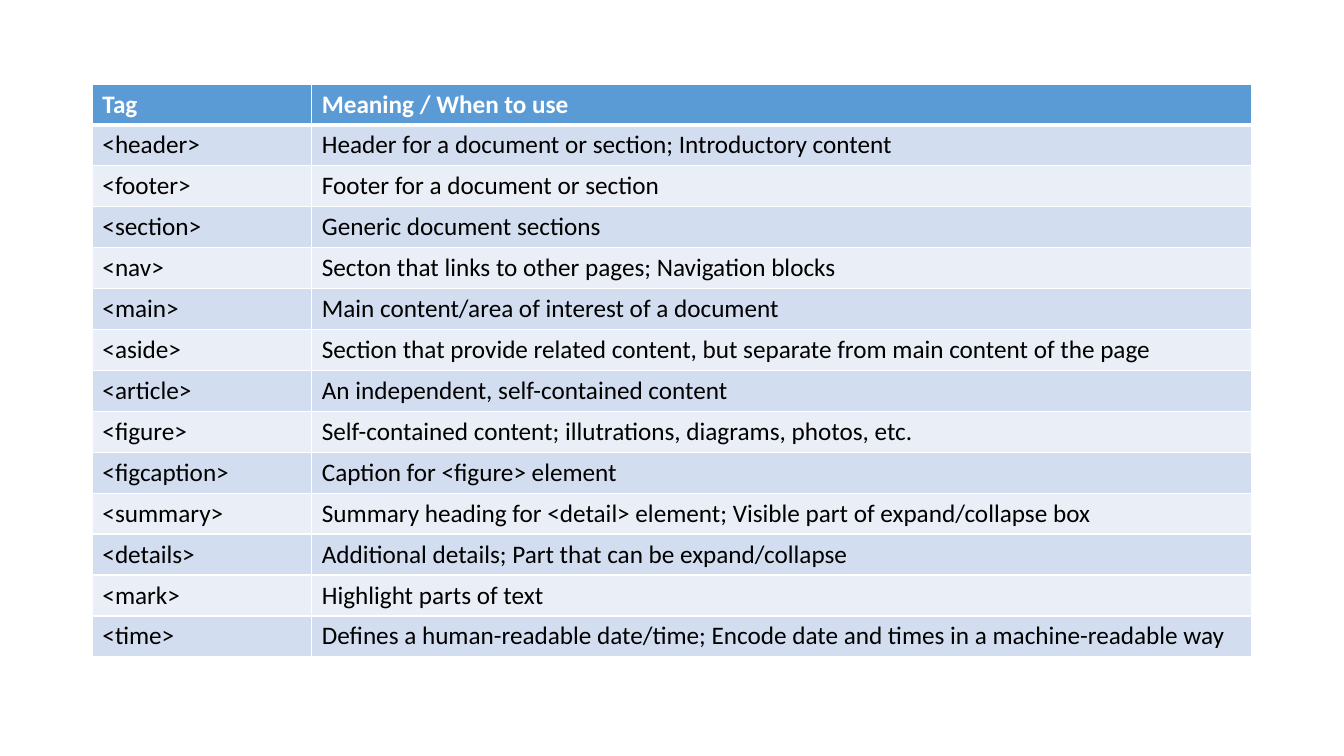
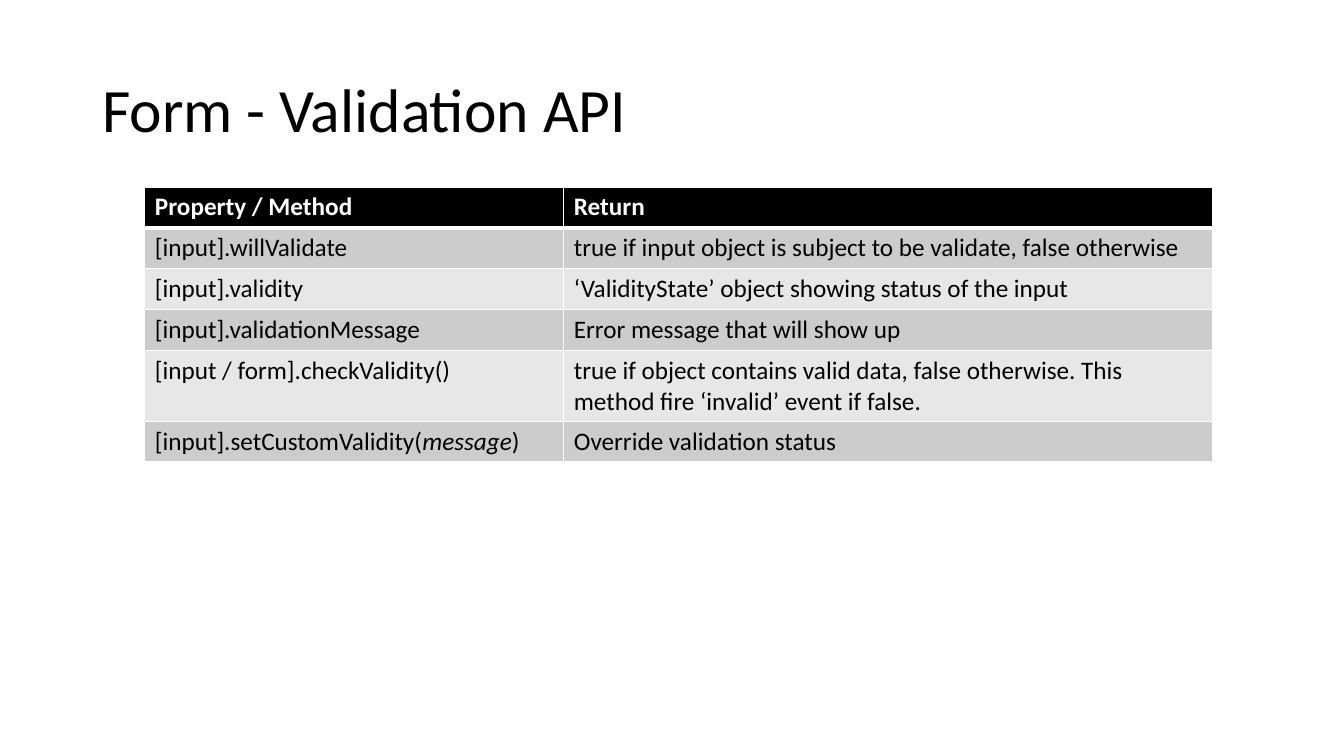
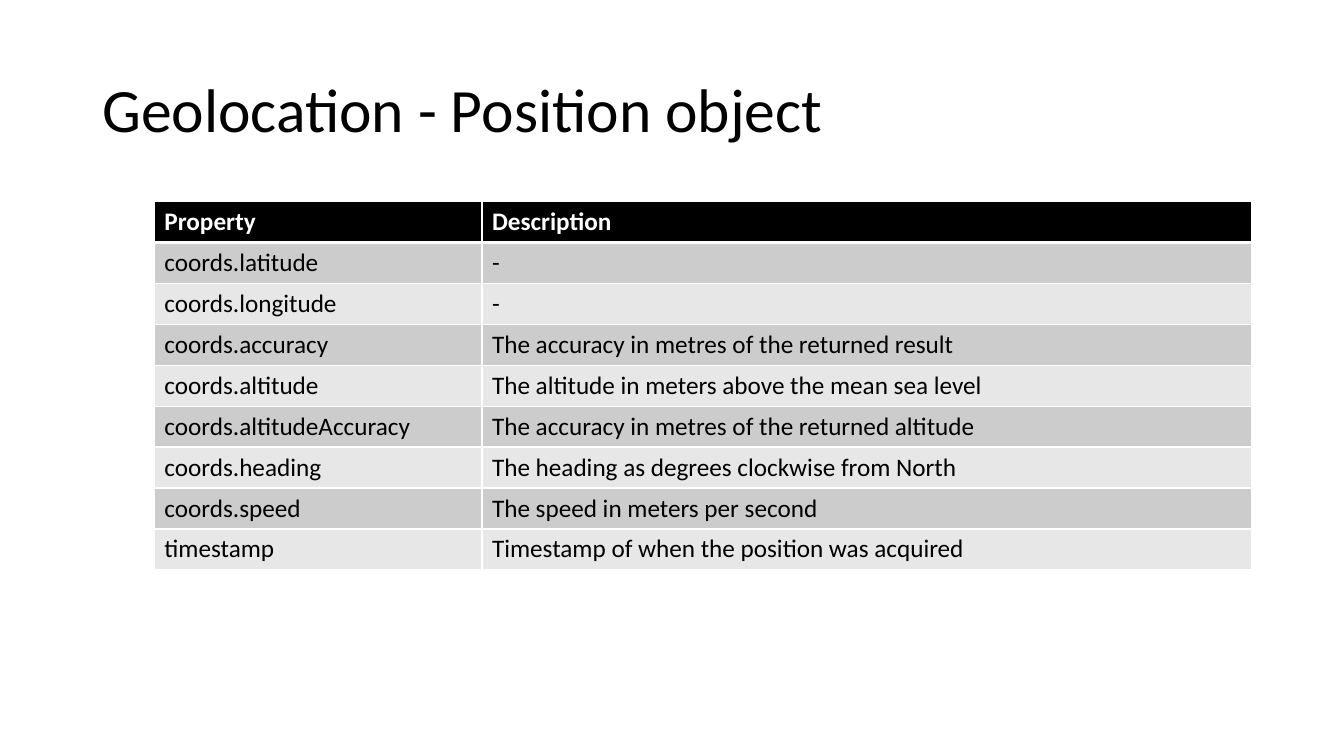
import pptx
import pptx.dml.color
import pptx.enum.text
import pptx.oxml
import pptx.oxml.ns
import pptx.util

RGBColor = pptx.dml.color.RGBColor
PX = 9525  # EMU in one px, 96 px to the inch

# Shared look
FONT = "Calibri"
BLACK = RGBColor(0x00, 0x00, 0x00)
WHITE = RGBColor(0xFF, 0xFF, 0xFF)
BLUE = RGBColor(0x5B, 0x9B, 0xD5)
BLUE_MID = RGBColor(0xD2, 0xDE, 0xEF)
BLUE_PALE = RGBColor(0xEA, 0xEF, 0xF7)
GREY_MID = RGBColor(0xCC, 0xCC, 0xCC)
GREY_PALE = RGBColor(0xE7, 0xE7, 0xE7)
BLUE_BANDS = (BLUE, BLUE_MID, BLUE_PALE)
GREY_BANDS = (BLACK, GREY_MID, GREY_PALE)
TITLE_BOX = (88, 38, 1104, 139)
ROW_H = 39

# Table contents, header row first; a tuple alternates plain and italic runs
TAGS = [
    ("Tag", "Meaning / When to use"),
    ("<header>", "Header for a document or section; Introductory content"),
    ("<footer>", "Footer for a document or section"),
    ("<section>", "Generic document sections"),
    ("<nav>", "Secton that links to other pages; Navigation blocks"),
    ("<main>", "Main content/area of interest of a document"),
    ("<aside>", "Section that provide related content, but separate from main content of the page"),
    ("<article>", "An independent, self-contained content"),
    ("<figure>", "Self-contained content; illutrations, diagrams, photos, etc."),
    ("<figcaption>", "Caption for <figure> element"),
    ("<summary>", "Summary heading for <detail> element; Visible part of expand/collapse box"),
    ("<details>", "Additional details; Part that can be expand/collapse"),
    ("<mark>", "Highlight parts of text"),
    ("<time>", "Defines a human-readable date/time; Encode date and times in a machine-readable way"),
]
VALIDATION = [
    ("Property / Method", "Return"),
    ("[input].willValidate", "true if input object is subject to be validate, false otherwise"),
    ("[input].validity", "‘ValidityState’ object showing status of the input"),
    ("[input].validationMessage", "Error message that will show up"),
    ("[input / form].checkValidity()",
     "true if object contains valid data, false otherwise. This method fire ‘invalid’ event if false."),
    (("[input].setCustomValidity(", "message", ")"), "Override validation status"),
]
POSITION = [
    ("Property", "Description"),
    ("coords.latitude", "-"),
    ("coords.longitude", "-"),
    ("coords.accuracy", "The accuracy in metres of the returned result"),
    ("coords.altitude", "The altitude in meters above the mean sea level"),
    ("coords.altitudeAccuracy", "The accuracy in metres of the returned altitude"),
    ("coords.heading", "The heading as degrees clockwise from North"),
    ("coords.speed", "The speed in meters per second"),
    ("timestamp", "Timestamp of when the position was acquired"),
]


def write(tf, text, size=18, color=BLACK, bold=False, spacing=None):
    """Fill a text frame with one paragraph."""
    p = tf.paragraphs[0]
    if spacing:
        p.line_spacing = spacing
    parts = (text,) if isinstance(text, str) else text
    for i, part in enumerate(parts):
        r = p.add_run()
        r.text = part
        r.font.name = FONT
        r.font.size = pptx.util.Pt(size)
        r.font.color.rgb = color
        r.font.bold = bold
        r.font.italic = i % 2 == 1


def set_borders(cell, top, bottom):
    """Draw white cell borders; widths are in points."""
    tc_pr = cell._tc.get_or_add_tcPr()
    widths = {"L": 1, "R": 1, "T": top, "B": bottom}
    for i, (side, width) in enumerate(widths.items()):
        tc_pr.insert(i, pptx.oxml.parse_xml(
            f'<a:ln{side} {pptx.oxml.ns.nsdecls("a")} w="{pptx.util.Pt(width)}">'
            f'<a:solidFill><a:srgbClr val="{WHITE}"/></a:solidFill></a:ln{side}>'))


def add_title(s, text, box):
    tb = s.shapes.add_textbox(*(v * PX for v in box))
    tf = tb.text_frame
    tf.word_wrap = True
    tf.vertical_anchor = pptx.enum.text.MSO_ANCHOR.MIDDLE
    write(tf, text, size=44, spacing=0.9)


def add_banded_table(s, rows, left, top, col_widths, bands):
    """Place a table with a header colour and two alternating row colours."""
    head, odd, even = bands
    frame = s.shapes.add_table(len(rows), len(col_widths), left * PX, top * PX,
                               sum(col_widths) * PX, len(rows) * ROW_H * PX)
    table = frame.table
    for col, width in zip(table.columns, col_widths):
        col.width = width * PX
    for i, row in enumerate(rows):
        table.rows[i].height = ROW_H * PX
        is_head = i == 0
        for j, text in enumerate(row):
            cell = table.cell(i, j)
            cell.fill.solid()
            cell.fill.fore_color.rgb = head if is_head else odd if i % 2 else even
            # The rule under the header is thicker
            set_borders(cell, top=3 if i == 1 else 1, bottom=3 if is_head else 1)
            write(cell.text_frame, text, color=WHITE if is_head else BLACK, bold=is_head)


def add_table_slide(prs, rows, left, top, col_widths, bands=GREY_BANDS, title=None):
    s = prs.slides.add_slide(prs.slide_layouts[6])
    if title:
        add_title(s, title, TITLE_BOX)
    add_banded_table(s, rows, left, top, col_widths, bands)


def main():
    prs = pptx.Presentation()
    prs.slide_width = 1280 * PX
    prs.slide_height = 720 * PX
    add_table_slide(prs, TAGS, 88, 80, (209, 895), bands=BLUE_BANDS)
    add_table_slide(prs, VALIDATION, 138, 178, (399, 618), title="Form - Validation API")
    add_table_slide(prs, POSITION, 147, 192, (312, 733), title="Geolocation - Position object")
    prs.save("out.pptx")


if __name__ == "__main__":
    main()
